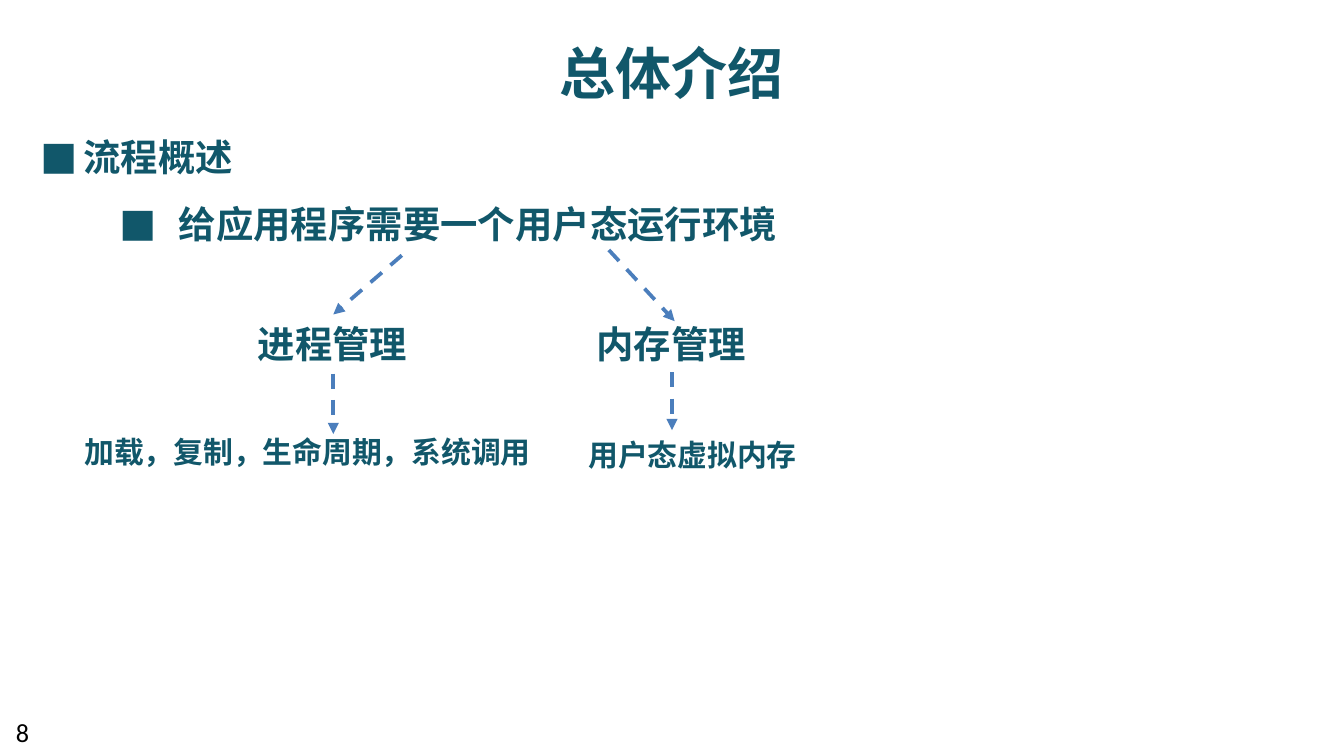
from dataclasses import dataclass

from lxml import etree
from pptx import Presentation
from pptx.dml.color import RGBColor
from pptx.enum.dml import MSO_LINE
from pptx.enum.shapes import MSO_CONNECTOR
from pptx.enum.text import MSO_ANCHOR, MSO_AUTO_SIZE, PP_ALIGN
from pptx.oxml.ns import qn
from pptx.util import Inches, Pt

DASH = MSO_LINE.DASH
STRAIGHT = MSO_CONNECTOR.STRAIGHT
TOP, MIDDLE = MSO_ANCHOR.TOP, MSO_ANCHOR.MIDDLE
NO_AUTOFIT = MSO_AUTO_SIZE.NONE
CENTER, LEFT = PP_ALIGN.CENTER, PP_ALIGN.LEFT


@dataclass(frozen=True)
class Theme:
    teal: RGBColor = RGBColor(0x11, 0x57, 0x6A)
    arrow: RGBColor = RGBColor(0x4B, 0x7E, 0xBC)
    black: RGBColor = RGBColor(0, 0, 0)
    font: str = "Noto Sans CJK SC"
    bullet_font: str = "Noto Sans CJK JP"
    number_font: str = "Calibri"
    title: int = 30
    heading: int = 20
    detail: int = 16
    number: int = 14


THEME = Theme()


def place(sp, left, top, width, height):
    sp.left, sp.top = Inches(left), Inches(top)
    sp.width, sp.height = Inches(width), Inches(height)


def setup_frame(sp, anchor=TOP, wrap=True):
    tf = sp.text_frame
    tf.auto_size = NO_AUTOFIT
    tf.word_wrap = wrap
    tf.vertical_anchor = anchor
    return tf


def add_run(p, text, size, color=THEME.teal, font=THEME.font, bold=True):
    r = p.add_run()
    r.text = text
    r.font.size = Pt(size)
    r.font.bold = bold
    r.font.color.rgb = color
    r.font.name = font
    # East Asian text takes its own typeface element
    latin = r.font._element.find(qn("a:latin"))
    latin.addnext(etree.Element(qn("a:ea"), typeface=font))


def set_bullet(p, margin, hanging):
    pPr = p._p.get_or_add_pPr()
    pPr.set("marL", str(Inches(margin)))
    pPr.set("indent", str(-Inches(hanging)))
    etree.SubElement(pPr, qn("a:buFont"), typeface=THEME.bullet_font)
    etree.SubElement(pPr, qn("a:buChar"), char="■")


def add_title(slide, text):
    sp = slide.shapes.title
    place(sp, 3.55, 0.23, 2.89, 0.61)
    p = setup_frame(sp, MIDDLE).paragraphs[0]
    p.alignment = CENTER
    add_run(p, text, THEME.title)


def add_outline(slide, items):
    sp = slide.placeholders[1]
    place(sp, 0.2, 0.95, 7.11, 0.94)
    tf = setup_frame(sp)
    for i, (text, margin, hanging) in enumerate(items):
        p = tf.add_paragraph() if i else tf.paragraphs[0]
        p.level = i
        set_bullet(p, margin, hanging)
        p.alignment = LEFT
        p.space_before = Pt(12 if i else 0)
        add_run(p, text, THEME.heading)


def add_label(slide, text, box, size, wrap=True, **style):
    sp = slide.shapes.add_textbox(*(Inches(v) for v in box))
    p = setup_frame(sp, wrap=wrap).paragraphs[0]
    add_run(p, text, size, **style)


def add_arrow(slide, x1, y1, x2, y2):
    line = slide.shapes.add_connector(
        STRAIGHT, Inches(x1), Inches(y1), Inches(x2), Inches(y2))
    line.line.color.rgb = THEME.arrow
    line.line.width = Pt(2)
    line.line.dash_style = DASH
    etree.SubElement(line.line._get_or_add_ln(), qn("a:tailEnd"), type="triangle")
    etree.SubElement(line._element.spPr, qn("a:effectLst"))


def main():
    # Widescreen, 16:9
    prs = Presentation()
    prs.slide_width = Inches(10)
    prs.slide_height = prs.slide_width * 9 // 16
    slide = prs.slides.add_slide(prs.slide_layouts[1])

    # Title and two-level outline
    add_title(slide, "总体介绍")
    add_outline(slide, [
        ("流程概述", 0.32, 0.32),
        ("给应用程序需要一个用户态运行环境", 1.03, 0.44),
    ])

    # Two branches: topic, then its details
    for text, left in (("进程管理", 1.82), ("内存管理", 4.34)):
        add_label(slide, text, (left, 2.34, 1.32, 0.44), THEME.heading, wrap=False)
    add_label(slide, "加载，复制，生命周期，系统调用",
              (0.53, 3.18, 3.63, 0.37), THEME.detail)
    add_label(slide, "用户态虚拟内存",
              (4.28, 3.2, 1.77, 0.37), THEME.detail, wrap=False)

    # Arrows from outline to topics, and from topics to details
    for ends in ((2.99, 1.9, 2.48, 2.34), (4.53, 1.86, 5.02, 2.39),
                 (2.48, 2.78, 2.48, 3.23), (5, 2.77, 5, 3.2)):
        add_arrow(slide, *ends)

    # Page number
    add_label(slide, "8", (0.02, 5.28, 0.48, 0.3), THEME.number,
              color=THEME.black, font=THEME.number_font, bold=False)

    prs.save("out.pptx")


if __name__ == "__main__":
    main()
